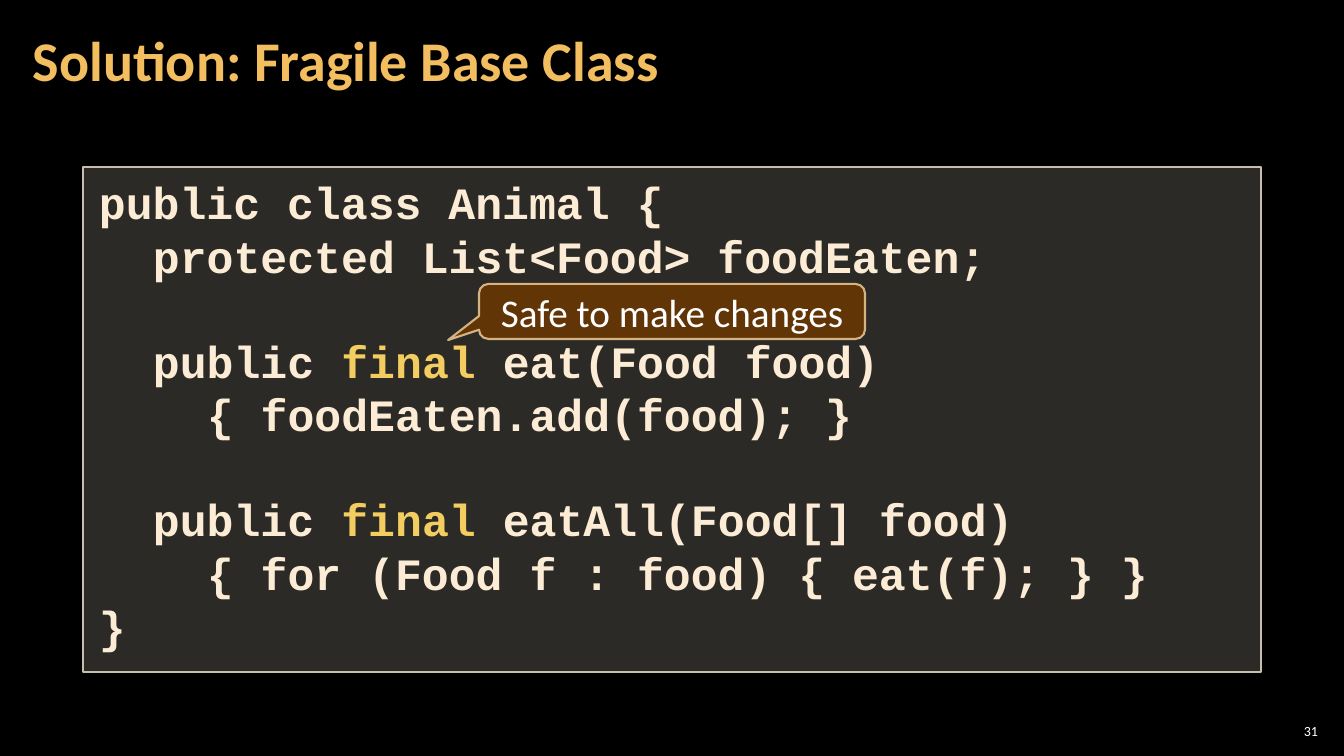
from pptx import Presentation
from pptx.dml.color import RGBColor
from pptx.enum.shapes import MSO_SHAPE as Shape
from pptx.enum.text import MSO_ANCHOR as Anchor, MSO_AUTO_SIZE as AutoSize, PP_ALIGN as Align
from pptx.oxml.ns import qn
from pptx.util import Emu, Pt
from lxml.etree import SubElement

BLACK = RGBColor(0x00, 0x00, 0x00)
WHITE = RGBColor(0xFF, 0xFF, 0xFF)
GOLD = RGBColor(0xF3, 0xBE, 0x60)
KEYWORD = RGBColor(0xF3, 0xCD, 0x60)
CODE = RGBColor(0xFC, 0xEC, 0xD5)
PANEL = RGBColor(0xD9, 0xD5, 0xC7)
PANEL_EDGE = RGBColor(0xC7, 0xBF, 0xAC)
BROWN = RGBColor(0x66, 0x36, 0x06)
TAN = RGBColor(0xF8, 0xD4, 0x9E)

TITLE = "Solution: Fragile Base Class"
PAGE_NUMBER = "31"
NOTE = "Safe to make changes"
# Indent level, blank lines before, text of each code line
CODE_LINES = [
    (0, 0, "public class Animal {"),
    (1, 0, "protected List<Food> foodEaten;"),
    (1, 1, "public final eat(Food food)"),
    (2, 0, "{ foodEaten.add(food); }"),
    (1, 1, "public final eatAll(Food[] food)"),
    (2, 0, "{ for (Food f : food) { eat(f); } }"),
    (0, 0, "}"),
]
HIGHLIGHT = "final"
INDENT = 54
BLANK_LINE = Pt(36.25)

# Left, top, width, height in pixels
SLIDE_SIZE = (1344, 756)
TITLE_AREA = (21, 4, 1055, 122)
NUMBER_AREA = (1275, 720, 47, 21)
CODE_AREA = (83, 167, 1178, 505)
NOTE_AREA = (479, 284, 386, 55)

TITLE_FONT = dict(name="Calibri", size=Pt(40), bold=True)
NUMBER_FONT = dict(name="Calibri", size=Pt(10))
CODE_FONT = dict(name="Courier New", size=Pt(32), bold=True)
NOTE_FONT = dict(name="Calibri", size=Pt(28))


def px(length):
    """Turn pixels into EMU."""
    return Emu(round(length * 914400 / 100.8))


def apply(target, formats):
    """Set each attribute of a dict on the target."""
    for name, value in formats.items():
        setattr(target, name, value)


def place(box, area):
    """Move and size a box."""
    apply(box, dict(zip(("left", "top", "width", "height"), map(px, area))))


def add_span(para, text, font, color):
    """Add one run of text."""
    span = para.add_run()
    span.text = text
    apply(span.font, font)
    span.font.color.rgb = color


def set_frame(box, anchor, side, edge):
    """Set wrapping, anchor and margins, and give back the first paragraph."""
    frame = box.text_frame
    apply(frame, dict(word_wrap=True, auto_size=AutoSize.NONE, vertical_anchor=anchor,
                      margin_left=px(side), margin_right=px(side),
                      margin_top=px(edge), margin_bottom=px(edge)))
    return frame.paragraphs[0]


def set_opacity(fill, percent):
    """Make a solid fill partly transparent."""
    color = fill._xPr.find(qn("a:solidFill"))[0]
    SubElement(color, qn("a:alpha")).set("val", str(percent * 1000))


def add_panel(page, kind, area, fill, line, width, opacity, line_opacity=100):
    """Add a filled, outlined shape without a shadow."""
    panel = page.shapes.add_shape(kind, *map(px, area))
    panel.shadow.inherit = False
    panel.fill.solid()
    panel.fill.fore_color.rgb = fill
    set_opacity(panel.fill, opacity)
    panel.line.color.rgb = line
    panel.line.width = Pt(width)
    set_opacity(panel.line.fill, line_opacity)
    return panel


def add_code(page):
    """Add the code panel with its highlighted keywords."""
    panel = add_panel(page, Shape.RECTANGLE, CODE_AREA, PANEL, PANEL_EDGE, 1, 20)
    para = set_frame(panel, Anchor.TOP, 16, 8)
    for index, (level, blanks, text) in enumerate(CODE_LINES):
        if index:
            para = panel.text_frame.add_paragraph()
        apply(para, dict(alignment=Align.LEFT, space_before=blanks * BLANK_LINE))
        para._p.get_or_add_pPr().set("marL", str(px(level * INDENT)))
        before, keyword, after = text.partition(HIGHLIGHT)
        for part, color in ((before, CODE), (keyword, KEYWORD), (after, CODE)):
            if part:
                add_span(para, part, CODE_FONT, color)


def add_note(page):
    """Add the callout that points at the first keyword."""
    note = add_panel(page, Shape.ROUNDED_RECTANGULAR_CALLOUT, NOTE_AREA,
                     BROWN, TAN, 1.5, 95, 80)
    for index, value in enumerate((-0.58, 0.52, 0.17)):
        note.adjustments[index] = value
    para = set_frame(note, Anchor.MIDDLE, 10, 5)
    para.alignment = Align.CENTER
    add_span(para, NOTE, NOTE_FONT, WHITE)


deck = Presentation()
deck.slide_width, deck.slide_height = map(px, SLIDE_SIZE)
page = deck.slides.add_slide(deck.slide_layouts[5])
page.background.fill.solid()
page.background.fill.fore_color.rgb = BLACK

title = page.shapes.title
place(title, TITLE_AREA)
para = set_frame(title, Anchor.MIDDLE, 12, 4)
apply(para, dict(alignment=Align.LEFT, line_spacing=Pt(40)))
add_span(para, TITLE, TITLE_FONT, GOLD)

number = page.shapes.add_textbox(*map(px, NUMBER_AREA))
para = set_frame(number, Anchor.MIDDLE, 4, 4)
para.alignment = Align.RIGHT
add_span(para, PAGE_NUMBER, NUMBER_FONT, WHITE)

add_code(page)
add_note(page)
deck.save("out.pptx")
